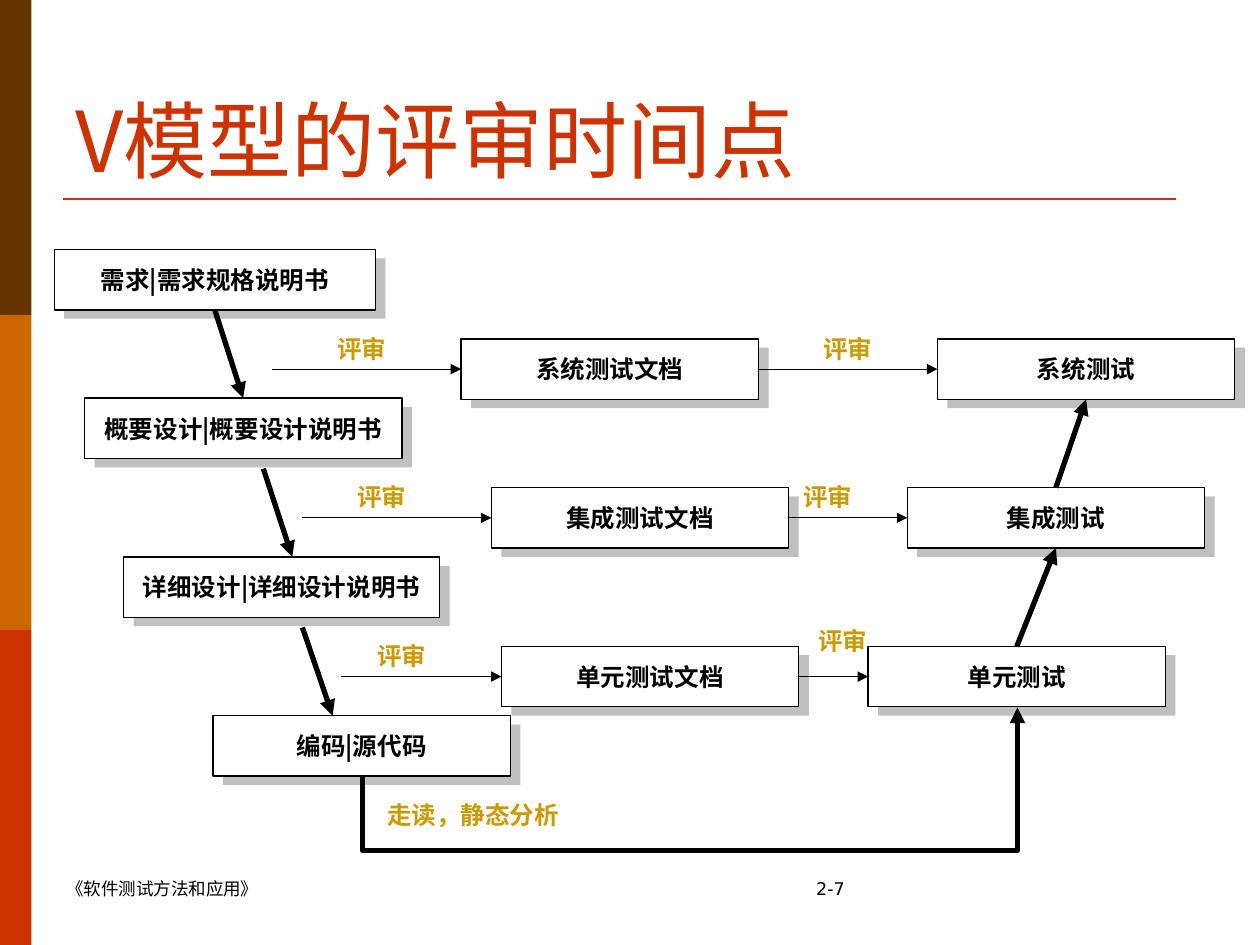
from typing import NamedTuple, Optional

import pptx
import pptx.dml.color
import pptx.enum.shapes
import pptx.enum.text
import pptx.oxml.ns
import pptx.util
from lxml import etree

COLS, ROWS = 100, 75
CELL = pptx.util.Inches(0.1)
CJK, LATIN = "Noto Sans CJK SC", "DejaVu Sans"
BLACK, WHITE, GREY, GOLD, RED = "000000", "FFFFFF", "C0C0C0", "CC9900", "CC3300"
STRIPES = ("663300", "CC6600", RED)
BOX_H, SHADOW_DX, SHADOW_DY = 4.8, 0.8, 0.7
TEST_W = 23.6
TOP, LEFT, BOTTOM, RIGHT = range(4)
RECT = pptx.enum.shapes.MSO_SHAPE.RECTANGLE
STRAIGHT = pptx.enum.shapes.MSO_CONNECTOR.STRAIGHT
ELBOW = pptx.enum.shapes.MSO_CONNECTOR.ELBOW
ALIGN = pptx.enum.text.PP_ALIGN
ANCHOR = pptx.enum.text.MSO_ANCHOR


class Box(NamedTuple):
    """A document or activity with its place on the grid."""
    text: str
    x: float
    y: float
    w: float = TEST_W


class Level(NamedTuple):
    """One level of the V: design, test document and test, with its reviews."""
    design: Box
    doc: Box
    test: Box
    review_x: float
    label: tuple[float, float]
    test_label: tuple[float, float]


class Step(NamedTuple):
    """The thick arrow that leads down from one design box to the next."""
    start: tuple[float, float]
    end: tuple[float, float]


LEVELS = (
    Level(Box("需求|需求规格说明书", 4.3, 19.8, 25.5), Box("系统测试文档", 36.6, 26.9),
          Box("系统测试", 74.4, 26.9), 21.6, (24, 26.1), (62.6, 26.1)),
    Level(Box("概要设计|概要设计说明书", 6.7, 31.6, 25.2), Box("集成测试文档", 39, 38.7),
          Box("集成测试", 72, 38.7), 24, (25.6, 37.9), (61, 37.9)),
    Level(Box("详细设计|详细设计说明书", 9.8, 44.2, 25.1), Box("单元测试文档", 39.8, 51.3),
          Box("单元测试", 68.9, 51.3), 27.1, (27.2, 50.5), (62.2, 49.3)),
)
CODE = Box("编码|源代码", 16.9, 56.8)
STEPS = (Step((17.1, 24.6), (19.3, 31.6)), Step((20.9, 37.2), (23.2, 44.2)),
         Step((24, 49.8), (26.4, 56.8)))


def grid(*cells: float) -> list[int]:
    """Turn grid units into slide lengths."""
    return [round(c * CELL) for c in cells]


def color(value: str) -> pptx.dml.color.RGBColor:
    """Read a hex colour."""
    return pptx.dml.color.RGBColor.from_string(value)


def child(parent, tag: str, **attrs: str):
    """Append a DrawingML element."""
    return etree.SubElement(parent, pptx.oxml.ns.qn(tag), attrs)


def add_rect(s, x: float, y: float, w: float, h: float, fill: str, line: Optional[str] = None):
    """Draw a flat rectangle."""
    sp = s.shapes.add_shape(RECT, *grid(x, y, w, h))
    sp.shadow.inherit = False
    sp.fill.solid()
    sp.fill.fore_color.rgb = color(fill)
    if line:
        sp.line.color.rgb = color(line)
        sp.line.width = pptx.util.Pt(0.75)
    else:
        sp.line.fill.background()
    return sp


def write(sp, text: str, size: float, ink: str, font: str = CJK, bold: bool = False,
          align=ALIGN.CENTER, anchor=ANCHOR.MIDDLE, wrap: bool = False):
    """Put one styled paragraph into a shape."""
    tf = sp.text_frame
    tf.word_wrap = wrap
    tf.vertical_anchor = anchor
    p = tf.paragraphs[0]
    p.text = text
    p.alignment = align
    p.font.size = pptx.util.Pt(size)
    p.font.bold = bold
    p.font.name = font
    p.font.color.rgb = color(ink)
    child(p._p.pPr.defRPr, "a:ea", typeface=CJK)
    return p


def add_box(s, box: Box):
    """Draw a box over its offset grey shade."""
    add_rect(s, box.x + SHADOW_DX, box.y + SHADOW_DY, box.w, BOX_H, GREY)
    sp = add_rect(s, box.x, box.y, box.w, BOX_H, WHITE, BLACK)
    write(sp, box.text, 14, BLACK, bold=True)
    return sp


def add_label(s, text: str, x: float, y: float, w: float = 9.4) -> None:
    """Write a gold review label."""
    sp = s.shapes.add_textbox(*grid(x, y, w, 3.1))
    write(sp, text, 14, GOLD, bold=True)


def add_line(s, start: tuple, end: tuple, width: float, ink: str = BLACK,
             arrow: bool = True, kind=STRAIGHT):
    """Draw a connector, with an arrowhead at its end if wanted."""
    c = s.shapes.add_connector(kind, *grid(*start, *end))
    c.line.color.rgb = color(ink)
    c.line.width = pptx.util.Pt(width)
    if arrow:
        child(c.line._get_or_add_ln(), "a:tailEnd", type="triangle")
    child(c._element.spPr, "a:effectLst")
    return c


def join(s, a, a_side: int, b, b_side: int, width: float) -> None:
    """Connect the sides of two boxes with an arrow."""
    c = add_line(s, (0, 0), (1, 1), width)
    c.begin_connect(a, a_side)
    c.end_connect(b, b_side)


def add_frame(s) -> None:
    """Draw the side stripes, title, rule and footer."""
    h = ROWS / len(STRIPES)
    for i, fill in enumerate(STRIPES):
        add_rect(s, 0, i * h, 2.5, h, fill)
    add_line(s, (5, 15.8), (93.3, 15.8), 1.5, RED, arrow=False)
    title = s.shapes.add_textbox(*grid(5, 3, 90, 12.5))
    write(title, "V模型的评审时间点", 48, RED, align=ALIGN.LEFT, anchor=ANCHOR.BOTTOM, wrap=True)
    footer = s.shapes.add_textbox(*grid(4.3, 69.2, 91.4, 5))
    p = write(footer, "《软件测试方法和应用》\t2-7", 10, BLACK, LATIN,
              align=ALIGN.LEFT, anchor=ANCHOR.TOP, wrap=True)
    tabs = pptx.oxml.parse_xml(f'<a:tabLst {pptx.oxml.ns.nsdecls("a")}/>')
    child(tabs, "a:tab", pos=str(grid(59.5)[0]), algn="l")
    p._p.pPr.defRPr.addprevious(tabs)


def add_walkthrough(s) -> None:
    """Draw the bent arrow from coding up to the unit test."""
    c = add_line(s, (57.5, 84.9), (52, 32.9), 3, kind=ELBOW)
    c._element.spPr.xfrm.set("rot", str(90 * 60000))
    guides = c._element.spPr.find(".//" + pptx.oxml.ns.qn("a:avLst"))
    child(guides, "a:gd", name="adj1", fmla="val -106300")
    add_label(s, "走读，静态分析", 29.1, 63.1, 16.9)


def main() -> None:
    """Build the slide."""
    prs = pptx.Presentation()
    prs.slide_width, prs.slide_height = grid(COLS, ROWS)
    s = prs.slides.add_slide(prs.slide_layouts[6])
    add_frame(s)
    designs = [add_box(s, level.design) for level in LEVELS] + [add_box(s, CODE)]
    tests = []
    for level in LEVELS:
        doc, test = add_box(s, level.doc), add_box(s, level.test)
        tests.append(test)
        middle = level.doc.y + BOX_H / 2
        review = add_line(s, (level.review_x, middle), (level.doc.x, middle), 0.75)
        review.end_connect(doc, LEFT)
        join(s, doc, RIGHT, test, LEFT, 0.75)
        for place in (level.label, level.test_label):
            add_label(s, "评审", *place)
    arrows = [add_line(s, step.start, step.end, 3) for step in STEPS]
    arrows[0].begin_connect(designs[0], BOTTOM)
    arrows[0].end_connect(designs[1], TOP)
    for upper, lower in zip(tests, tests[1:]):
        join(s, lower, TOP, upper, BOTTOM, 3)
    add_walkthrough(s)
    prs.save("out.pptx")


if __name__ == "__main__":
    main()
